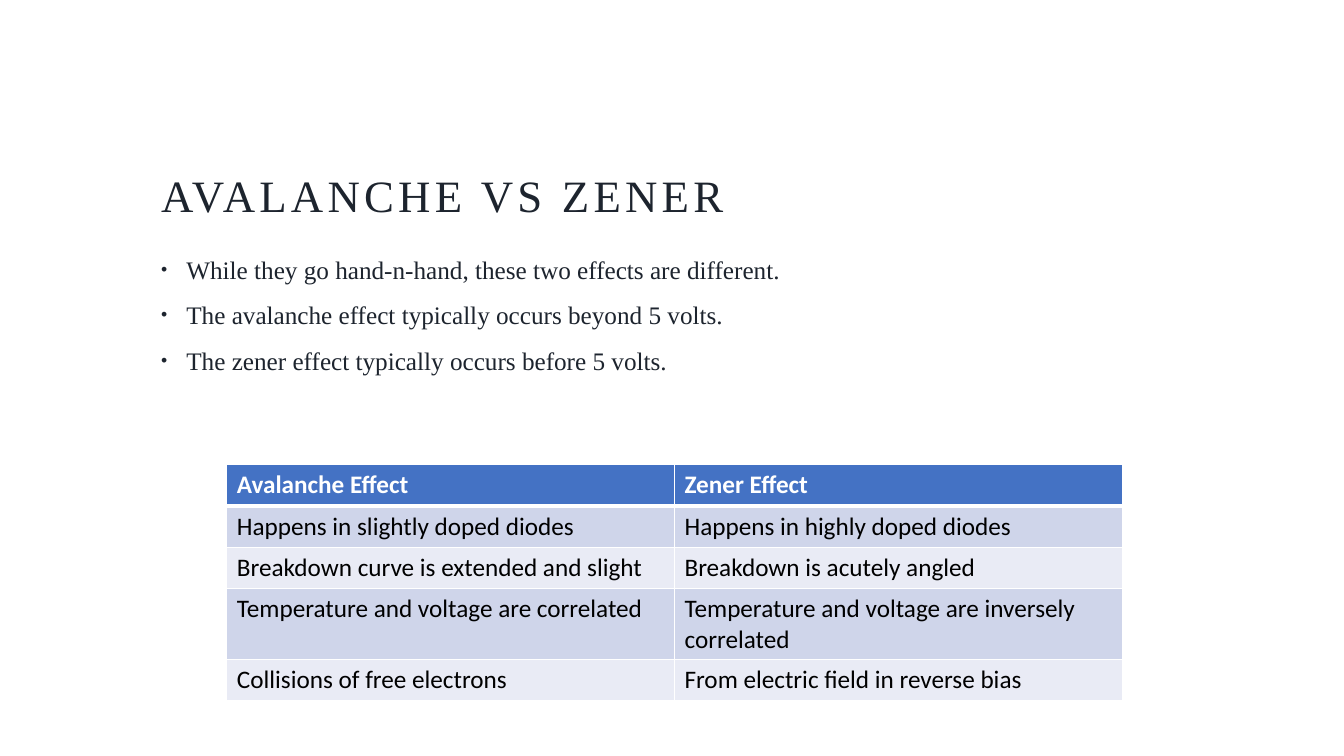
import lxml.etree
import pptx
import pptx.dml.color
import pptx.enum.text
import pptx.oxml.ns
import pptx.util

Inches = pptx.util.Inches
Pt = pptx.util.Pt
RGBColor = pptx.dml.color.RGBColor
qn = pptx.oxml.ns.qn

INK = RGBColor(0x1D, 0x24, 0x2E)
WHITE = RGBColor(0xFF, 0xFF, 0xFF)
BLACK = RGBColor(0x00, 0x00, 0x00)
HEADER_BLUE = RGBColor(0x44, 0x72, 0xC4)
BAND_DARK = RGBColor(0xCF, 0xD5, 0xEA)
BAND_LIGHT = RGBColor(0xE9, 0xEB, 0xF5)

SERIF = "Times New Roman"
SANS = "Calibri"

TITLE = "AVALANCHE VS ZENER"
POINTS = [
    "While they go hand-n-hand, these two effects are different.",
    "The avalanche effect typically occurs beyond 5 volts.",
    "The zener effect typically occurs before 5 volts.",
]
COMPARISON = [
    ("Avalanche Effect", "Zener Effect"),
    ("Happens in slightly doped diodes", "Happens in highly doped diodes"),
    ("Breakdown curve is extended and slight", "Breakdown is acutely angled"),
    ("Temperature and voltage are correlated",
     "Temperature and voltage are inversely correlated"),
    ("Collisions of free electrons", "From electric field in reverse bias"),
]
ROW_HEIGHTS = [0.41, 0.41, 0.41, 0.7, 0.41]


def add_span(para, text, size, font, color, bold=False):
    span = para.add_run()
    span.text = text
    span.font.size = Pt(size)
    span.font.name = font
    span.font.bold = bold
    span.font.color.rgb = color
    return span


def add_frame(page, left, top, width, height):
    box = page.shapes.add_textbox(
        Inches(left), Inches(top), Inches(width), Inches(height))
    box.text_frame.word_wrap = True
    return box.text_frame


def add_title(page):
    frame = add_frame(page, 1.5, 0.75, 10.38, 1.5)
    frame.vertical_anchor = pptx.enum.text.MSO_ANCHOR.BOTTOM
    para = frame.paragraphs[0]
    para.line_spacing = 0.9
    span = add_span(para, TITLE, 32, SERIF, INK)
    span.font._element.set("spc", "300")


def set_bullet(para):
    properties = para._p.get_or_add_pPr()
    properties.set("marL", str(Inches(0.25)))
    properties.set("indent", str(Inches(-0.25)))
    for tag, name, value in (
        ("a:buSzPct", "val", "70000"),
        ("a:buFont", "typeface", "Arial"),
        ("a:buChar", "char", "•"),
    ):
        lxml.etree.SubElement(properties, qn(tag)).set(name, value)


def add_points(page):
    frame = add_frame(page, 1.5, 2.47, 10.38, 4.28)
    for index, text in enumerate(POINTS):
        para = frame.add_paragraph() if index else frame.paragraphs[0]
        para.space_before = Pt(11)
        set_bullet(para)
        add_span(para, text, 18, SERIF, INK)


def set_borders(cell, top, bottom):
    properties = cell._tc.get_or_add_tcPr()
    for side, width in (("L", 1), ("R", 1), ("T", top), ("B", bottom)):
        line = lxml.etree.SubElement(properties, qn("a:ln" + side))
        line.set("w", str(Pt(width)))
        fill = lxml.etree.SubElement(line, qn("a:solidFill"))
        lxml.etree.SubElement(fill, qn("a:srgbClr")).set("val", str(WHITE))


def fill_cell(cell, text, row):
    header = row == 0
    set_borders(cell, 3 if row == 1 else 1, 3 if header else 1)
    cell.fill.solid()
    band = BAND_DARK if row % 2 else BAND_LIGHT
    cell.fill.fore_color.rgb = HEADER_BLUE if header else band
    color = WHITE if header else BLACK
    add_span(cell.text_frame.paragraphs[0], text, 18, SANS, color, header)


def add_comparison(page):
    table = page.shapes.add_table(
        len(COMPARISON), 2, Inches(2.25), Inches(4.61),
        Inches(8.88), Inches(sum(ROW_HEIGHTS))).table
    for column in table.columns:
        column.width = Inches(4.44)
    for row, texts in enumerate(COMPARISON):
        table.rows[row].height = Inches(ROW_HEIGHTS[row])
        for column, text in enumerate(texts):
            fill_cell(table.cell(row, column), text, row)


def main():
    deck = pptx.Presentation()
    deck.slide_width = Inches(13.33)
    deck.slide_height = Inches(7.5)
    page = deck.slides.add_slide(deck.slide_layouts[6])
    add_title(page)
    add_points(page)
    add_comparison(page)
    deck.save("out.pptx")


if __name__ == "__main__":
    main()
